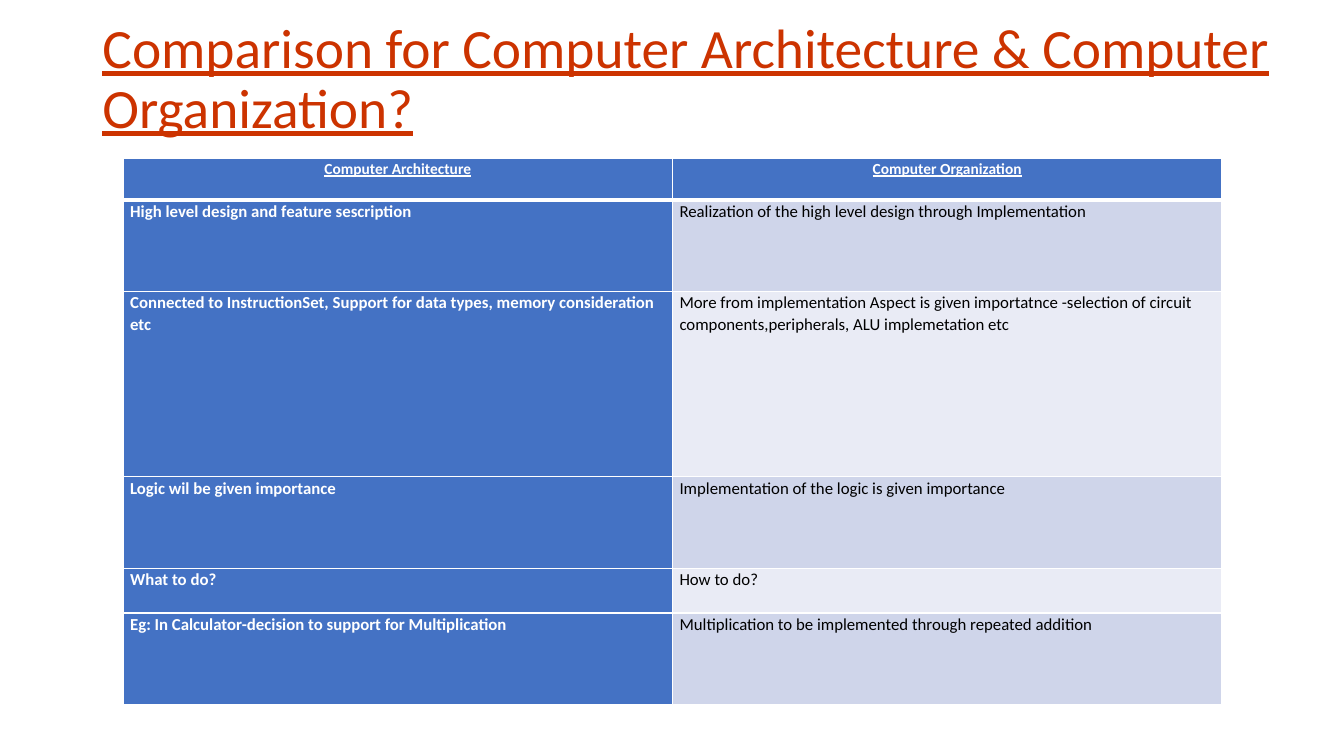
from copy import deepcopy

from lxml import etree
from pptx import Presentation
from pptx.dml.color import RGBColor
from pptx.enum import text
from pptx.oxml import ns
from pptx.util import Pt

RED = RGBColor(0xCC, 0x33, 0x00)
BLUE = RGBColor(0x44, 0x72, 0xC4)
WHITE = RGBColor(0xFF, 0xFF, 0xFF)
BLACK = RGBColor(0, 0, 0)
BANDS = RGBColor(0xCF, 0xD5, 0xEA), RGBColor(0xE9, 0xEB, 0xF5)

TITLE = "Comparison for Computer Architecture & Computer Organization?\v"
HEADS = "Computer Architecture", "Computer Organization"
ROWS = [
    ("High level design and feature sescription",
     "Realization of the high level design through Implementation"),
    ("Connected to InstructionSet, Support for data types, memory consideration etc",
     "More from implementation Aspect is given importatnce -selection of circuit "
     "components,peripherals, ALU implemetation etc"),
    ("Logic wil be given importance",
     "Implementation of the logic is given importance"),
    ("What to do?", "How to do?"),
    ("Eg: In Calculator-decision to support for Multiplication",
     "Multiplication to be implemented through repeated addition"),
]
HEIGHTS = 29.5, 65.5, 132.5, 65.5, 31.7, 65.5
WIDTH = 392.4


def write(frame, words, size, color, bold=False, line=False,
          align=text.PP_ALIGN.LEFT, lead=1.07, after=0):
    para = frame.paragraphs[0]
    para.text = words
    para.alignment = align
    para.line_spacing = lead
    para.space_after = Pt(after)
    for run in para.runs:
        font = run.font
        font.name = "Calibri"
        font.size = Pt(size)
        font.color.rgb = color
        font.bold = bold
        font.underline = line
    return para


def size_break(para):
    """Give line breaks and the paragraph end the format of the first run."""
    props = para.runs[0].font._rPr
    for mark in para._p.findall(ns.qn("a:br")):
        mark.insert(0, deepcopy(props))
    end = etree.SubElement(para._p, ns.qn("a:endParaRPr"))
    end.set("sz", props.get("sz"))


def add_title(slide):
    title = slide.shapes.title
    title.left, title.top = Pt(66), Pt(28.8)
    title.width, title.height = Pt(849.6), Pt(104.4)
    frame = title.text_frame
    frame.word_wrap = True
    frame.auto_size = text.MSO_AUTO_SIZE.NONE
    frame.vertical_anchor = text.MSO_ANCHOR.MIDDLE
    size_break(write(frame, TITLE, 39.6, RED, line=True, lead=0.9))


def edge(cell, **widths):
    """Draw white cell borders; must come before the cell fill."""
    props = cell._tc.get_or_add_tcPr()
    for side, width in widths.items():
        line = etree.SubElement(props, ns.qn(f"a:ln{side}"), w=str(Pt(width)))
        fill = etree.SubElement(line, ns.qn("a:solidFill"))
        etree.SubElement(fill, ns.qn("a:srgbClr"), val=str(WHITE))


def add_cell(cell, words, row, col):
    cell.margin_left = cell.margin_right = Pt(5)
    cell.margin_top = cell.margin_bottom = 0
    edge(cell, L=1, R=1, T=3 if row == 1 else 1, B=3 if row == 0 else 1)
    head = row == 0
    dark = head or col == 0
    cell.fill.solid()
    cell.fill.fore_color.rgb = BLUE if dark else BANDS[(row - 1) % 2]
    write(cell.text_frame, words, 11 if head else 12,
          WHITE if dark else BLACK, bold=dark, line=head, after=8,
          align=text.PP_ALIGN.CENTER if head else text.PP_ALIGN.LEFT)


def add_grid(slide):
    data = [HEADS, *ROWS]
    table = slide.shapes.add_table(len(data), 2, Pt(88), Pt(113.2),
                                   Pt(2 * WIDTH), Pt(sum(HEIGHTS))).table
    for col in table.columns:
        col.width = Pt(WIDTH)
    for row, (pair, height) in enumerate(zip(data, HEIGHTS)):
        table.rows[row].height = Pt(height)
        for col, words in enumerate(pair):
            add_cell(table.cell(row, col), words, row, col)


def main():
    deck = Presentation()
    deck.slide_width, deck.slide_height = Pt(960), Pt(540)
    slide = deck.slides.add_slide(deck.slide_layouts[5])
    add_title(slide)
    add_grid(slide)
    deck.save("out.pptx")


if __name__ == "__main__":
    main()
